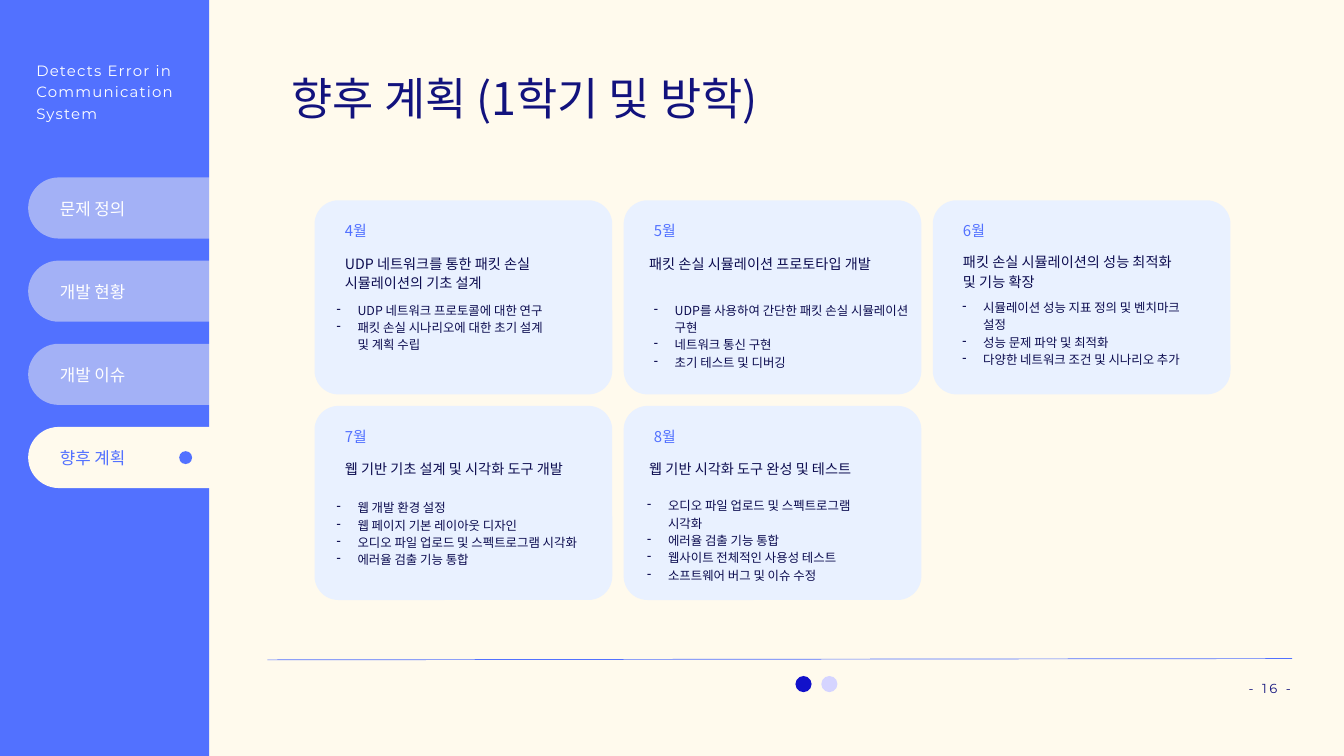
from pptx import Presentation
from pptx.dml.color import RGBColor
from pptx.enum.shapes import MSO_CONNECTOR, MSO_SHAPE
from pptx.enum.text import PP_ALIGN
from pptx.oxml.ns import qn
from pptx.util import Pt
from lxml.etree import SubElement

SANS = "Noto Sans CJK KR"
CREAM, BLUE, PALE, WHITE = "FFFAED", "5271FF", "E9F1FF", "FFFFFF"
NAVY, INK = "12127D", "0D0D50"

CARD_LEFT, CARD_TOP, CARD_W, CARD_H = 337, 214.6, 319, 208
CARD_STEP_X, CARD_STEP_Y = 331.2, 220.3
TAB_TOP, TAB_STEP = 190.1, 89.1

# column, row, month, title box and bullet box (dx, dy, width inside the card)
CARDS = [
    (0, 0, "4월", (32.4, 55.4, 228), ["UDP 네트워크를 통한 패킷 손실 시뮬레이션의 기초 설계"],
     (23.8, 107.3, 286.6),
     ["UDP 네트워크 프로토콜에 대한 연구", "패킷 손실 시나리오에 대한 초기 설계\n및 계획 수립"]),
    (0, 1, "7월", (32.4, 55.4, 254), ["웹 기반 기초 설계 및 시각화 도구 개발"],
     (23.8, 98.6, 266.4),
     ["웹 개발 환경 설정", "웹 페이지 기본 레이아웃 디자인",
      "오디오 파일 업로드 및 스펙트로그램 시각화", "에러율 검출 기능 통합"]),
    (1, 0, "5월", (27.4, 55.4, 291), ["패킷 손실 시뮬레이션 프로토타입 개발"],
     (32.4, 107.3, 281.5),
     ["UDP를 사용하여 간단한 패킷 손실 시뮬레이션 구현", "네트워크 통신 구현",
      "초기 테스트 및 디버깅"]),
    (1, 1, "8월", (27.4, 55.4, 254), ["웹 기반 시각화 도구 완성 및 테스트"],
     (25.2, 96.5, 254),
     ["오디오 파일 업로드 및 스펙트로그램 시각화", "에러율 검출 기능 통합",
      "웹사이트 전체적인 사용성 테스트", "소프트웨어 버그 및 이슈 수정"]),
    (2, 0, "6월", (32.4, 54, 266.4), ["패킷 손실 시뮬레이션의 성능 최적화", "및 기능 확장"],
     (31.7, 104.4, 254),
     ["시뮬레이션 성능 지표 정의 및 벤치마크 설정", "성능 문제 파악 및 최적화",
      "다양한 네트워크 조건 및 시나리오 추가"]),
]
TABS = ["문제 정의", "개발 현황", "개발 이슈", "향후 계획"]


def rgb(color):
    return RGBColor.from_string(color)


def add_shape(s, kind, x, y, w, h, color, radius=None, alpha=None):
    """Plain filled shape; radius is in points, alpha in percent."""
    sp = s.shapes.add_shape(kind, Pt(x), Pt(y), Pt(w), Pt(h))
    sp.shadow.inherit = False
    sp.fill.solid()
    sp.fill.fore_color.rgb = rgb(color)
    sp.line.fill.background()
    if radius is not None:
        sp.adjustments[0] = radius / min(w, h)
    if alpha is not None:
        clr = sp.element.spPr.find(qn("a:solidFill")).find(qn("a:srgbClr"))
        SubElement(clr, qn("a:alpha"), val=str(alpha * 1000))
    return sp


def add_bullet(p, indent):
    pPr = p._p.get_or_add_pPr()
    pPr.set("marL", str(Pt(indent)))
    pPr.set("indent", str(-Pt(indent)))
    SubElement(pPr, qn("a:buChar"), char="-")


def add_text(s, paragraphs, x, y, w, h, size, color, leading, font=SANS,
             spacing=0, align=PP_ALIGN.LEFT, bullets=False):
    tf = s.shapes.add_textbox(Pt(x), Pt(y), Pt(w), Pt(h)).text_frame
    tf.word_wrap = True
    tf.margin_left = tf.margin_right = tf.margin_top = tf.margin_bottom = 0
    for i, text in enumerate(paragraphs):
        p = tf.add_paragraph() if i else tf.paragraphs[0]
        if bullets:
            add_bullet(p, 22.3)
        p.text = text.replace("\n", "\v")
        p.alignment = align
        p.line_spacing = Pt(leading)
        for r in p.runs:
            r.font.size = Pt(size)
            r.font.color.rgb = rgb(color)
            r.font.name = font
            rPr = r.font._element
            SubElement(rPr, qn("a:ea"), typeface=font)
            if spacing:
                rPr.set("spc", str(round(spacing * 100)))


def add_card(s, col, row, month, title_box, title, list_box, items):
    x = CARD_LEFT + col * CARD_STEP_X
    y = CARD_TOP + row * CARD_STEP_Y
    add_shape(s, MSO_SHAPE.ROUNDED_RECTANGLE, x, y, CARD_W, CARD_H, PALE, radius=25.6)
    add_text(s, [month], x + 32.4, y + 23, 201.6, 19.4, 16, BLUE, 19.2)
    dx, dy, w = title_box
    add_text(s, title, x + dx, y + dy, w, 20.5, 15.2, INK, 21.3)
    dx, dy, w = list_box
    add_text(s, items, x + dx, y + dy, w, 75, 13.3, INK, 18.6, bullets=True)


def add_tab(s, index, label, active):
    y = TAB_TOP + index * TAB_STEP
    add_shape(s, MSO_SHAPE.ROUNDED_RECTANGLE, 30.2, y, 256.3, 65.5, CREAM,
              radius=32.75, alpha=None if active else 47)
    add_text(s, [label], 64.1, y + 22.5, 183.6, 21.6, 18,
             "5371FF" if active else WHITE, 21.6, font="Calibri")
    if active:
        add_shape(s, MSO_SHAPE.OVAL, 192, y + 26, 13.8, 13.8, BLUE)


def add_rule(s, x1, y1, x2, y2, color):
    line = s.shapes.add_connector(MSO_CONNECTOR.STRAIGHT, Pt(x1), Pt(y1), Pt(x2), Pt(y2))
    line.line.color.rgb = rgb(color)
    line.line.width = Pt(0.75)
    SubElement(line._element.spPr, qn("a:effectLst"))


def main():
    prs = Presentation()
    prs.slide_width, prs.slide_height = Pt(1440), Pt(810)
    s = prs.slides.add_slide(prs.slide_layouts[6])
    s.background.fill.solid()
    s.background.fill.fore_color.rgb = rgb(CREAM)

    add_text(s, ["- 16 -"], 1140.5, 728.6, 242.6, 16, 14, NAVY, 16.8,
             font="Montserrat", spacing=2.7, align=PP_ALIGN.RIGHT)
    for x, color in ((852.3, "1211CA"), (880, "D5D4FF")):
        add_shape(s, MSO_SHAPE.OVAL, x, 724.3, 17.3, 17.3, color)

    for card in CARDS:
        add_card(s, *card)

    add_shape(s, MSO_SHAPE.RECTANGLE, 0, 0, 224, 810, BLUE)
    for i, label in enumerate(TABS):
        add_tab(s, i, label, active=i == len(TABS) - 1)
    add_text(s, ["Detects Error in", "Communication", "System"], 38.9, 61.9, 153.4, 67,
             16, WHITE, 23, font="Montserrat", spacing=1.3)

    add_rule(s, 286.5, 707, 1384.5, 705.6, BLUE)
    add_text(s, ["향후 계획 (1학기 및 방학)"], 312.5, 85, 647.3, 49, 48, NAVY, 48)
    prs.save("out.pptx")


if __name__ == "__main__":
    main()
